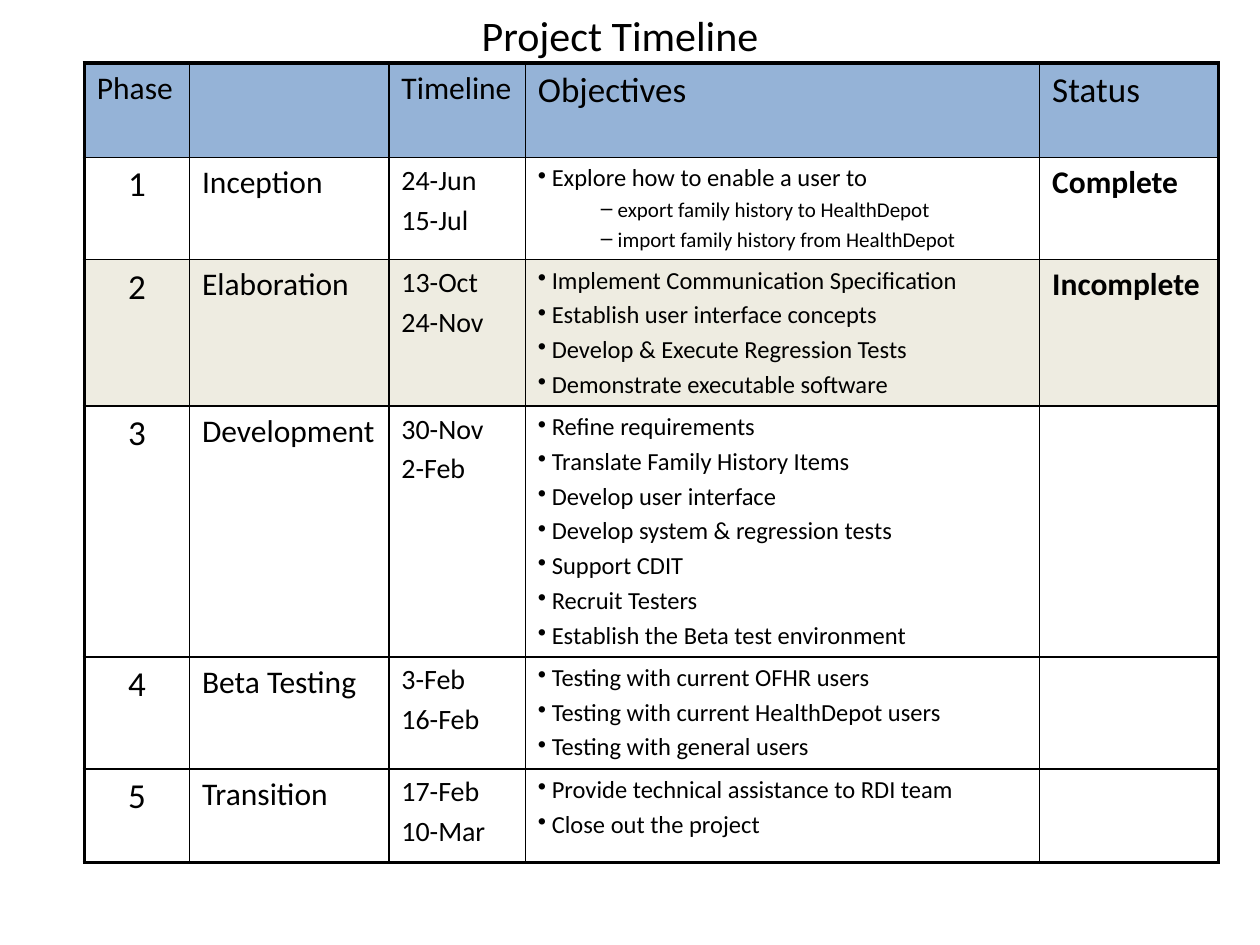
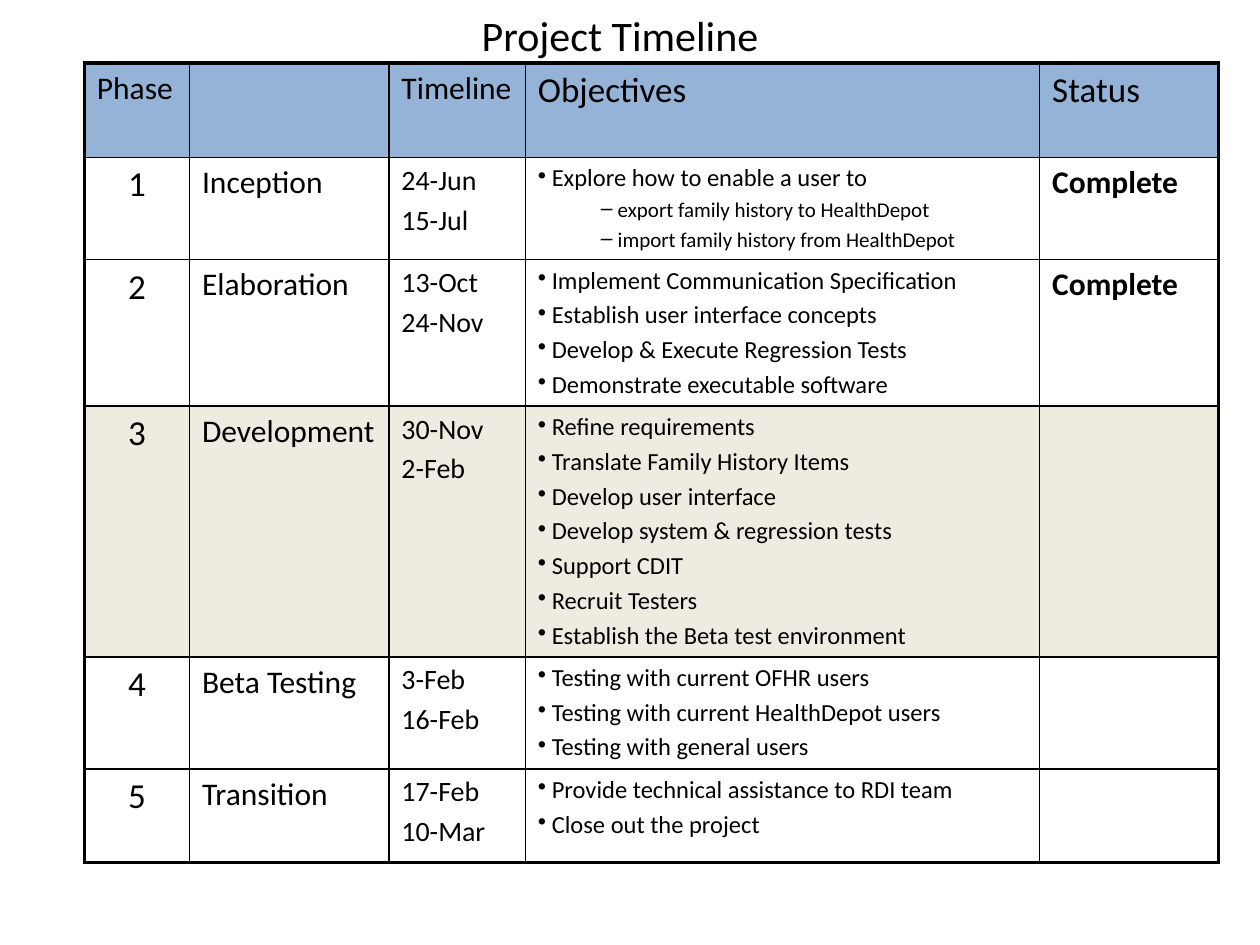
"""Build two project timeline slides, each with the phase under way shaded."""
from dataclasses import dataclass

from lxml.etree import SubElement
from pptx import Presentation
from pptx.dml.color import RGBColor
from pptx.enum.text import MSO_ANCHOR, MSO_AUTO_SIZE, PP_ALIGN
from pptx.oxml.ns import qn
from pptx.slide import Slide
from pptx.table import _Cell
from pptx.text.text import _Paragraph
from pptx.util import Cm, Length, Pt

BLACK = RGBColor(0x00, 0x00, 0x00)
WHITE = RGBColor(0xFF, 0xFF, 0xFF)
HEADER_BLUE = RGBColor(0x95, 0xB3, 0xD7)
CURRENT_BEIGE = RGBColor(0xEE, 0xEC, 0xE1)
FONT = "Calibri"
OUTER_BORDER, INNER_BORDER = Pt(2.25), Pt(1)
COLUMN_WIDTHS = [Cm(2.12), Cm(4.02), Cm(2.75), Cm(10.37), Cm(3.61)]
HEADER_HEIGHT = Cm(1.9)


@dataclass(frozen=True)
class Bullet:
    """A list mark with its left edge and the gap to its text."""
    mark: str
    left: Length
    gap: Length


@dataclass(frozen=True)
class Line:
    """One paragraph of a table cell."""
    text: str
    size: int
    bold: bool = False
    align: PP_ALIGN = PP_ALIGN.LEFT
    bullet: Bullet | None = None


@dataclass(frozen=True)
class Phase:
    """One project phase; its details sit below the first objective."""
    name: str
    start: str
    end: str
    objectives: tuple[str, ...]
    height: Length
    details: tuple[str, ...] = ()


@dataclass(frozen=True)
class Report:
    """The state of the project: the current phase and the known statuses."""
    current: int
    statuses: tuple[str, ...]


OBJECTIVE = Bullet("•", Cm(0), Cm(0.28))
DETAIL = Bullet("–", Cm(1.27), Cm(0.34))

HEADINGS = [("Phase", 18), ("", 18), ("Timeline", 18), ("Objectives", 20), ("Status", 20)]
PHASES = [
    Phase("Inception", "24-Jun", "15-Jul", ("Explore how to enable a user to",), Cm(2.06),
          ("export family history to HealthDepot", "import family history from HealthDepot")),
    Phase("Elaboration", "13-Oct", "24-Nov",
          ("Implement Communication Specification", "Establish user interface concepts",
           "Develop & Execute Regression Tests", "Demonstrate executable software"), Cm(2.95)),
    Phase("Development", "30-Nov", "2-Feb",
          ("Refine requirements", "Translate Family History Items", "Develop user interface",
           "Develop system & regression tests", "Support CDIT", "Recruit Testers",
           "Establish the Beta test environment"), Cm(5.05)),
    Phase("Beta Testing", "3-Feb", "16-Feb",
          ("Testing with current OFHR users", "Testing with current HealthDepot users",
           "Testing with general users"), Cm(2.26)),
    Phase("Transition", "17-Feb", "10-Mar",
          ("Provide technical assistance to RDI team", "Close out the project"), Cm(1.88)),
]
REPORTS = [Report(2, ("Complete", "Incomplete")), Report(3, ("Complete", "Complete"))]


def set_font(paragraph: _Paragraph, size: int, bold: bool = False) -> None:
    """Apply the shared typeface and colour at the given size."""
    font = paragraph.font
    font.name, font.size, font.bold = FONT, Pt(size), bold
    font.color.rgb = BLACK


def add_bullet(paragraph: _Paragraph, bullet: Bullet) -> None:
    """Give a paragraph a list mark and a hanging indent."""
    properties = paragraph._p.get_or_add_pPr()
    properties.set("marL", str(bullet.left + bullet.gap))
    properties.set("indent", str(-bullet.gap))
    mark = properties.makeelement(qn("a:buChar"), {"char": bullet.mark})
    properties.insert_element_before(mark, "a:tabLst", "a:defRPr", "a:extLst")


def write_lines(cell: _Cell, lines: list[Line]) -> None:
    """Write the paragraphs of a cell, each a fifth of its size below the last."""
    frame = cell.text_frame
    for index, line in enumerate(lines):
        paragraph = frame.add_paragraph() if index else frame.paragraphs[0]
        paragraph.text = line.text
        paragraph.alignment = line.align
        paragraph.space_before = Pt(line.size * 0.2)
        if line.bullet:
            add_bullet(paragraph, line.bullet)
        set_font(paragraph, line.size, line.bold)


def draw_borders(cell: _Cell, outer_sides: dict[str, bool]) -> None:
    """Draw four black borders, thicker on the table's outer sides."""
    properties = cell._tc.get_or_add_tcPr()
    for side, is_outer in outer_sides.items():
        width = OUTER_BORDER if is_outer else INNER_BORDER
        border = SubElement(properties, qn(f"a:ln{side}"), w=str(width))
        SubElement(SubElement(border, qn("a:solidFill")), qn("a:srgbClr"), val=str(BLACK))


def phase_cells(number: int, phase: Phase, status: str) -> list[list[Line]]:
    """Return the lines of each cell in a phase row."""
    objectives = [Line(text, 14, bullet=OBJECTIVE) for text in phase.objectives]
    details = [Line(text, 12, bullet=DETAIL) for text in phase.details]
    return [
        [Line(str(number), 20, align=PP_ALIGN.CENTER)],
        [Line(phase.name, 18)],
        [Line(phase.start, 16), Line(phase.end, 16)],
        objectives + details,
        [Line(status, 18, bold=True)],
    ]


def add_title(slide: Slide) -> None:
    """Place and format the slide title."""
    title = slide.shapes.title
    title.left, title.top, title.width, title.height = Cm(1.07), Cm(0), Cm(22.86), Cm(1.4)
    frame = title.text_frame
    frame.text = "Project Timeline"
    frame.auto_size = MSO_AUTO_SIZE.NONE
    frame.vertical_anchor = MSO_ANCHOR.MIDDLE
    frame.paragraphs[0].alignment = PP_ALIGN.CENTER
    set_font(frame.paragraphs[0], 24)


def add_timeline(slide: Slide, report: Report) -> None:
    """Add the table of phases with the current phase shaded."""
    heights = [HEADER_HEIGHT] + [phase.height for phase in PHASES]
    rows = [[[Line(text, size)] for text, size in HEADINGS]]
    for number, phase in enumerate(PHASES, 1):
        status = report.statuses[number - 1] if number <= len(report.statuses) else ""
        rows.append(phase_cells(number, phase, status))
    fills = {0: HEADER_BLUE, report.current: CURRENT_BEIGE}

    timeline = slide.shapes.add_table(len(rows), len(COLUMN_WIDTHS), Cm(1.7), Cm(1.27),
                                      sum(COLUMN_WIDTHS), sum(heights)).table
    timeline.first_row = timeline.horz_banding = False
    for column, width in zip(timeline.columns, COLUMN_WIDTHS):
        column.width = width
    for r, cells in enumerate(rows):
        timeline.rows[r].height = heights[r]
        for c, lines in enumerate(cells):
            cell = timeline.cell(r, c)
            write_lines(cell, lines)
            draw_borders(cell, {"L": c == 0, "R": c == len(cells) - 1,
                                "T": r == 0, "B": r == len(rows) - 1})
            cell.fill.solid()
            cell.fill.fore_color.rgb = fills.get(r, WHITE)


def main() -> None:
    """Build one slide for each report and save the presentation."""
    presentation = Presentation()
    presentation.slide_width, presentation.slide_height = Cm(25.4), Cm(19.05)
    title_only = presentation.slide_layouts[5]
    for report in REPORTS:
        slide = presentation.slides.add_slide(title_only)
        add_title(slide)
        add_timeline(slide, report)
    presentation.save("out.pptx")


if __name__ == "__main__":
    main()
